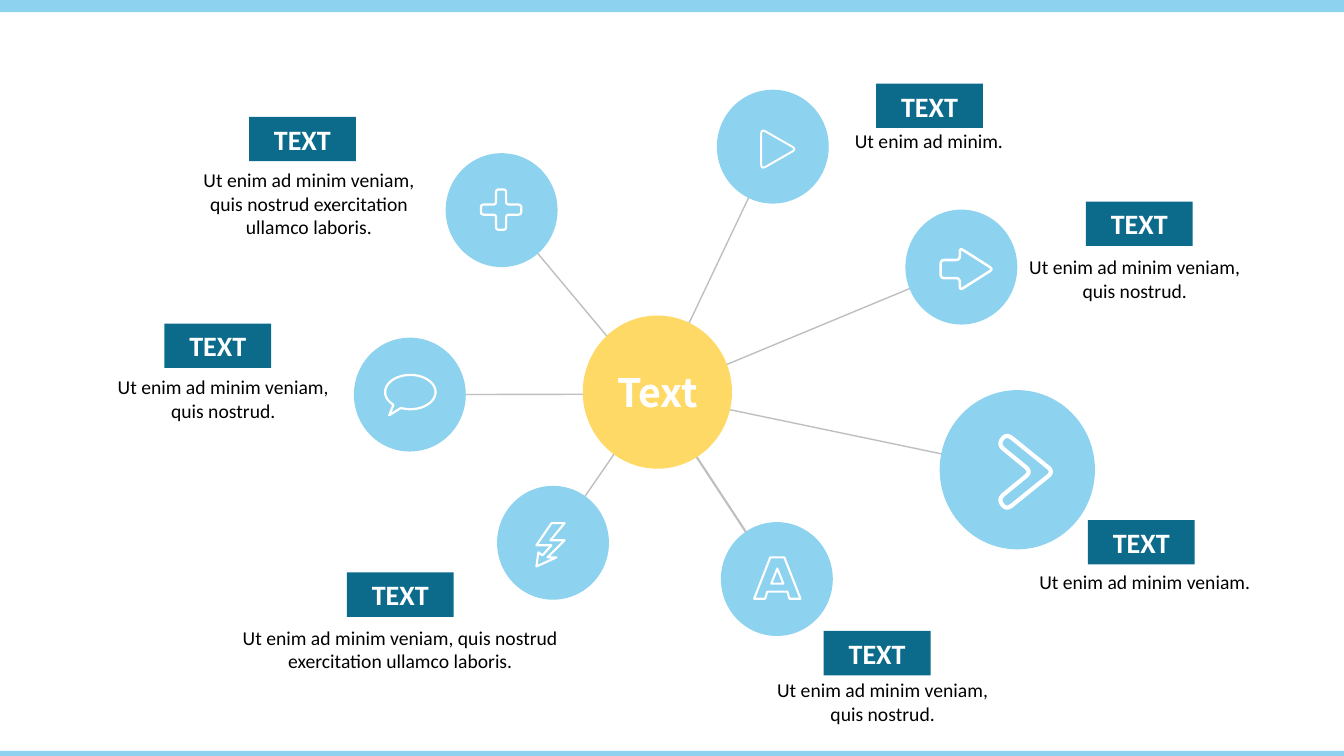
import math
from collections import namedtuple

from lxml import etree
from pptx import Presentation
from pptx.dml.color import RGBColor
from pptx.enum.shapes import MSO_CONNECTOR, MSO_SHAPE
from pptx.enum.text import MSO_ANCHOR, MSO_AUTO_SIZE, PP_ALIGN
from pptx.oxml.ns import qn
from pptx.util import Inches, Pt

RECTANGLE, ELLIPSE = MSO_SHAPE.RECTANGLE, MSO_SHAPE.OVAL
STRAIGHT = MSO_CONNECTOR.STRAIGHT
MIDDLE, CENTER = MSO_ANCHOR.MIDDLE, PP_ALIGN.CENTER
GROW = MSO_AUTO_SIZE.SHAPE_TO_FIT_TEXT

COLORS = {"sky": "8DD2EF", "teal": "0C6B8B", "yellow": "FFD966",
          "grey": "BFBFBF", "white": "FFFFFF", "black": "000000"}
BODY_FONT, HUB_FONT = "Calibri", "Noto Sans CJK SC"
SLIDE_WIDTH, SLIDE_HEIGHT = 13.33, 7.5
BAR_HEIGHT = 0.12
HUB_BOX = (5.78, 3.13, 1.48, 1.52)
HUB_CENTER = (6.5, 3.91)
TAG_SIZE = (1.06, 0.44)

SHORT = "Ut enim ad minim veniam, quis nostrud."
LONG = "Ut enim ad minim veniam, quis nostrud exercitation ullamco laboris."

Topic = namedtuple("Topic", "circle tag caption_box caption spoke_width")
TOPICS = [
    Topic((7.11, 0.89, 1.11, 1.13), (8.69, 0.83), (7.95, 1.23, 2.53, 0.34),
          "Ut enim ad minim.", 1),
    Topic((8.98, 2.08, 1.11, 1.14), (10.77, 2), (9.99, 2.48, 2.53, 0.57), SHORT, 1),
    Topic((9.32, 3.87, 1.54, 1.58), (10.79, 5.16), (10.09, 5.61, 2.53, 0.34),
          "Ut enim ad minim veniam.", 1),
    Topic((7.15, 5.18, 1.11, 1.13), (8.17, 6.26), (7.49, 6.68, 2.53, 0.57), SHORT, 1.5),
    Topic((4.93, 4.82, 1.11, 1.13), (3.44, 5.68), (2.13, 6.16, 3.68, 0.57), LONG, 1),
    Topic((3.51, 3.35, 1.11, 1.13), (1.63, 3.21), (0.95, 3.67, 2.53, 0.57), SHORT, 1),
    Topic((4.42, 1.52, 1.11, 1.13), (2.47, 1.16), (1.8, 1.62, 2.53, 0.81), LONG, 1),
]


def color(name):
    return RGBColor.from_string(COLORS[name])


def add_filled(slide, preset, box, fill):
    shape = slide.shapes.add_shape(preset, *map(Inches, box))
    shape.shadow.inherit = False
    shape.fill.solid()
    shape.fill.fore_color.rgb = color(fill)
    shape.line.fill.background()
    return shape


def write_text(shape, text, size, ink, font=BODY_FONT, bold=False, space_after=6):
    paragraph = shape.text_frame.paragraphs[0]
    paragraph.alignment = CENTER
    paragraph.space_after = Pt(space_after)
    run = paragraph.add_run()
    run.text = text
    run.font.name = font
    run.font.size = Pt(size)
    run.font.bold = bold
    run.font.color.rgb = color(ink)


def add_spoke(slide, topic):
    left, top, width, height = topic.circle
    ends = (*HUB_CENTER, left + width / 2, top + height / 2)
    spoke = slide.shapes.add_connector(STRAIGHT, *map(Inches, ends))
    spoke.line.color.rgb = color("grey")
    spoke.line.width = Pt(topic.spoke_width)
    etree.SubElement(spoke._element.spPr, qn("a:effectLst"))


def add_hub(slide):
    hub = add_filled(slide, ELLIPSE, HUB_BOX, "yellow")
    frame = hub.text_frame
    frame.word_wrap = False
    frame.vertical_anchor = MIDDLE
    frame.margin_left = frame.margin_right = Inches(0.05)
    frame.margin_top = frame.margin_bottom = Inches(0.05)
    write_text(hub, "Text", 28, "white", HUB_FONT, bold=True, space_after=0)


def add_caption(slide, topic):
    box = slide.shapes.add_textbox(*map(Inches, topic.caption_box))
    box.text_frame.word_wrap = True
    box.text_frame.auto_size = GROW
    write_text(box, topic.caption, 14, "black")


def add_tag(slide, topic):
    tag = add_filled(slide, RECTANGLE, (*topic.tag, *TAG_SIZE), "teal")
    tag.text_frame.word_wrap = True
    tag.text_frame.auto_size = GROW
    write_text(tag, "TEXT", 20, "white", bold=True)


def round_corners(corners, radius, steps=6):
    """Replace each corner by a short quadratic curve starting radius away."""
    points = []
    for index, (x, y) in enumerate(corners):
        before, after = corners[index - 1], corners[(index + 1) % len(corners)]
        starts = []
        for other_x, other_y in (before, after):
            length = math.hypot(other_x - x, other_y - y)
            share = min(radius / length, 0.5)
            starts.append((x + (other_x - x) * share, y + (other_y - y) * share))
        (ax, ay), (bx, by) = starts
        for step in range(steps + 1):
            t = step / steps
            points.append(((1 - t) ** 2 * ax + 2 * t * (1 - t) * x + t * t * bx,
                           (1 - t) ** 2 * ay + 2 * t * (1 - t) * y + t * t * by))
    return points


def add_icon(slide, contours, line_width, radius=0):
    """Draw closed contours as one unfilled white outline."""
    if radius:
        contours = [round_corners(contour, radius) for contour in contours]
    contours = [[(Inches(x), Inches(y)) for x, y in contour] for contour in contours]
    builder = slide.shapes.build_freeform(*contours[0][0])
    builder.add_line_segments(contours[0][1:], close=True)
    for contour in contours[1:]:
        builder.move_to(*contour[0])
        builder.add_line_segments(contour[1:], close=True)
    icon = builder.convert_to_shape()
    icon.shadow.inherit = False
    icon.fill.background()
    icon.line.color.rgb = color("white")
    icon.line.width = Pt(line_width)


def plus_contour(x, y, reach, arm):
    quarter = [(arm, -arm), (arm, -reach), (-arm, -reach)]
    points = []
    for _ in range(4):
        points += [(x + dx, y + dy) for dx, dy in quarter]
        quarter = [(dy, -dx) for dx, dy in quarter]
    return points


def bubble_contour(x, y, radius_x, radius_y, tail):
    angles = [math.radians(degrees) for degrees in range(132, 473, 5)]
    return [(x + radius_x * math.cos(a), y + radius_y * math.sin(a))
            for a in angles] + [tail]


def add_icons(slide):
    play = [(7.55, 1.28), (7.9, 1.48), (7.55, 1.68)]
    arrow = [(9.33, 2.58), (9.52, 2.58), (9.52, 2.46), (9.85, 2.67),
             (9.52, 2.88), (9.52, 2.76), (9.33, 2.76)]
    chevron = [(9.98, 4.3), (10.45, 4.68), (9.98, 5.06),
               (9.9, 4.95), (10.23, 4.68), (9.9, 4.41)]
    letter = [(7.64, 5.53), (7.78, 5.53), (7.94, 5.94), (7.83, 5.94),
              (7.81, 5.87), (7.61, 5.87), (7.59, 5.94), (7.48, 5.94)]
    letter_hole = [(7.71, 5.64), (7.77, 5.79), (7.65, 5.79)]
    bolt = [(5.47, 5.19), (5.6, 5.19), (5.46, 5.36), (5.6, 5.36),
            (5.43, 5.53), (5.52, 5.53), (5.32, 5.62), (5.34, 5.48),
            (5.38, 5.51), (5.47, 5.41), (5.32, 5.41)]
    add_icon(slide, [plus_contour(4.97, 2.08, 0.2, 0.05)], 1.6, radius=0.03)
    add_icon(slide, [play], 1.4, radius=0.05)
    add_icon(slide, [arrow], 1.8, radius=0.04)
    add_icon(slide, [chevron], 3, radius=0.07)
    add_icon(slide, [letter, letter_hole], 1.5)
    add_icon(slide, [bolt], 1.5)
    add_icon(slide, [bubble_contour(4.07, 3.89, 0.25, 0.17, (3.86, 4.12))], 1.6)


def main():
    presentation = Presentation()
    presentation.slide_width = Inches(SLIDE_WIDTH)
    presentation.slide_height = Inches(SLIDE_HEIGHT)
    slide = presentation.slides.add_slide(presentation.slide_layouts[6])
    for topic in TOPICS:
        add_spoke(slide, topic)
    for topic in TOPICS:
        add_filled(slide, ELLIPSE, topic.circle, "sky")
    add_hub(slide)
    for topic in TOPICS:
        add_caption(slide, topic)
        add_tag(slide, topic)
    add_icons(slide)
    for bar_top in (0, 7.45):
        add_filled(slide, RECTANGLE, (0, bar_top, SLIDE_WIDTH, BAR_HEIGHT), "sky")
    presentation.save("out.pptx")


if __name__ == "__main__":
    main()
